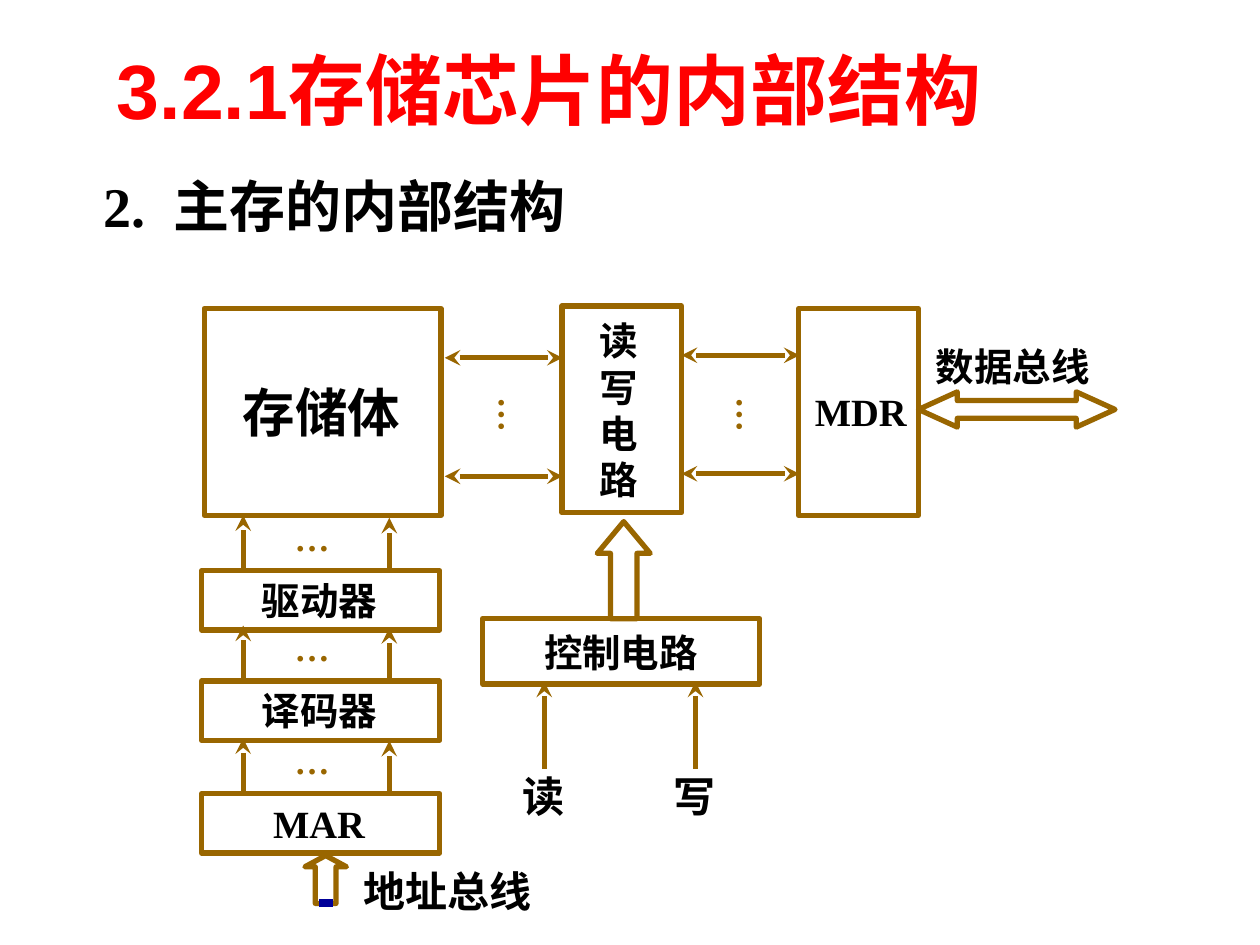
import pptx
import pptx.dml.color
import pptx.enum.shapes
import pptx.enum.text
import pptx.oxml
import pptx.oxml.ns
import pptx.util

SHAPE = pptx.enum.shapes.MSO_SHAPE
BROWN, BLACK, RED, NAVY = "996600", "000000", "FF0000", "000099"


def tint(code):
    """Turn a hex string into a colour."""
    return pptx.dml.color.RGBColor.from_string(code)


class Board:
    """Hold the style and the slide, on a grid of 100 columns by 75 rows."""

    def __init__(self, deck):
        """Add a blank slide and work out the grid cell."""
        self.slide = deck.slides.add_slide(deck.slide_layouts[6])
        self.cell = deck.slide_width / 100
        self.font = "Times New Roman"
        self.width = 3

    def grid(self, *spans):
        """Turn grid cells into lengths."""
        return [pptx.util.Emu(round(span * self.cell)) for span in spans]

    def text(self, area, lines, size=22, color=BLACK, font=None, wrap=False, mid=False, turn=0):
        """Write one bold paragraph for each line."""
        box = self.slide.shapes.add_textbox(*self.grid(*area))
        box.rotation = turn
        frame = box.text_frame
        frame.word_wrap = wrap
        if mid:
            frame.vertical_anchor = pptx.enum.text.MSO_ANCHOR.MIDDLE
        for row, line in enumerate(lines):
            para = frame.paragraphs[0] if row == 0 else frame.add_paragraph()
            run = para.add_run()
            run.text = line
            run.font.name = font or self.font
            run.font.size = pptx.util.Pt(size)
            run.font.bold = True
            run.font.color.rgb = tint(color)

    def block(self, area, kind=SHAPE.RECTANGLE, bends=()):
        """Draw a hollow preset shape."""
        shape = self.slide.shapes.add_shape(kind, *self.grid(*area))
        shape.shadow.inherit = False
        shape.fill.background()
        shape.line.color.rgb = tint(BROWN)
        shape.line.width = pptx.util.Pt(self.width)
        for spot, bend in enumerate(bends):
            shape.adjustments[spot] = bend

    def line(self, start, end, ends=(), color=BROWN, width=None):
        """Draw a straight line with stealth heads at the named ends."""
        kind = pptx.enum.shapes.MSO_CONNECTOR.STRAIGHT
        link = self.slide.shapes.add_connector(kind, *self.grid(*start, *end))
        link.line.color.rgb = tint(color)
        link.line.width = pptx.util.Pt(width or self.width)
        name = pptx.oxml.ns.qn
        stroke = link.line._get_or_add_ln()
        for side in ends:
            head = stroke.makeelement(name(f"a:{side}End"), {"type": "stealth"})
            stroke.append(head)
        props = stroke.getparent()
        props.append(props.makeelement(name("a:effectLst"), {}))

    def dots(self, left, top, turn=0):
        """Write an ellipsis between two arrows."""
        self.text((left, top, 6.3, 4.3), ["…"], 20, BROWN, wrap=True, turn=turn)


def main():
    """Build the memory diagram and save it."""
    deck = pptx.Presentation()
    deck.slide_width = pptx.util.Inches(10)
    deck.slide_height = pptx.util.Inches(7.5)
    board = Board(deck)

    board.text((8.3, 0.8, 85, 12.5), ["3.2.1存储芯片的内部结构"], 44, RED, "Arial", True, True)
    board.text((7.2, 13.1, 39.2, 6.4), ["2.  主存的内部结构"], 32, wrap=True)

    for left, top, wide in ((16.2, 24.5, 18.8), (44.6, 24.3, 9.5), (63.4, 24.5, 9.5)):
        board.block((left, top, wide, 16.4))
    board.text((18.3, 29.7, 14.6, 6), ["存储体"], 30)
    board.text((46.6, 24.7, 5.4, 15.8), "读写电路", wrap=True)
    board.text((63.7, 30.3, 9.3, 4.7), ["MDR"])

    for left, top, dot in ((35.3, 28.4, 35.7), (54.1, 28.2, 54.6)):
        for row in (top, top + 9.4):
            board.line((left, row), (left + 9.35, row), ("head", "tail"))
        board.dots(dot, 30, 270)

    stack = ((45.3, "驱动器", 19.8, 11.2), (54.05, "译码器", 19.8, 11.2), (63, "MAR", 20.7, 9.3))
    for top, name, left, wide in stack:
        board.block((16, top, 18.9, 4.7))
        board.text((left, top, wide, 4.7), [name])
        for col, base in ((19.3, top - 0.2), (30.9, top)):
            board.line((col, base), (col, base - 4.2), ("tail",))
        board.dots(22.4, top - 4.8)

    board.block((38.3, 49.1, 22, 5.2))
    board.text((42.2, 49.4, 14.3, 4.7), ["控制电路"])
    for col, name in ((43.2, "读"), (55.2, "写")):
        board.line((col, 61), (col, 54.1), ("tail",))
        board.text((col - 2.7, 60.7, 5.4, 5), [name], 24)

    board.block((47.4, 41.4, 4.2, 7.7), SHAPE.UP_ARROW, (0.5, 0.6))
    board.block((24.2, 67.9, 3.3, 3.8), SHAPE.UP_ARROW, (0.5, 0.27))
    board.block((72.9, 31.1, 15.6, 2.8), SHAPE.LEFT_RIGHT_ARROW, (0.5, 1.1))
    board.line((25.3, 71.7), (26.4, 71.7), color=NAVY, width=4.5)
    board.text((27.9, 68.2, 15.4, 5), ["地址总线"], 24)
    board.text((73.3, 26.7, 14.3, 4.7), ["数据总线"])

    deck.save("out.pptx")


if __name__ == "__main__":
    main()
